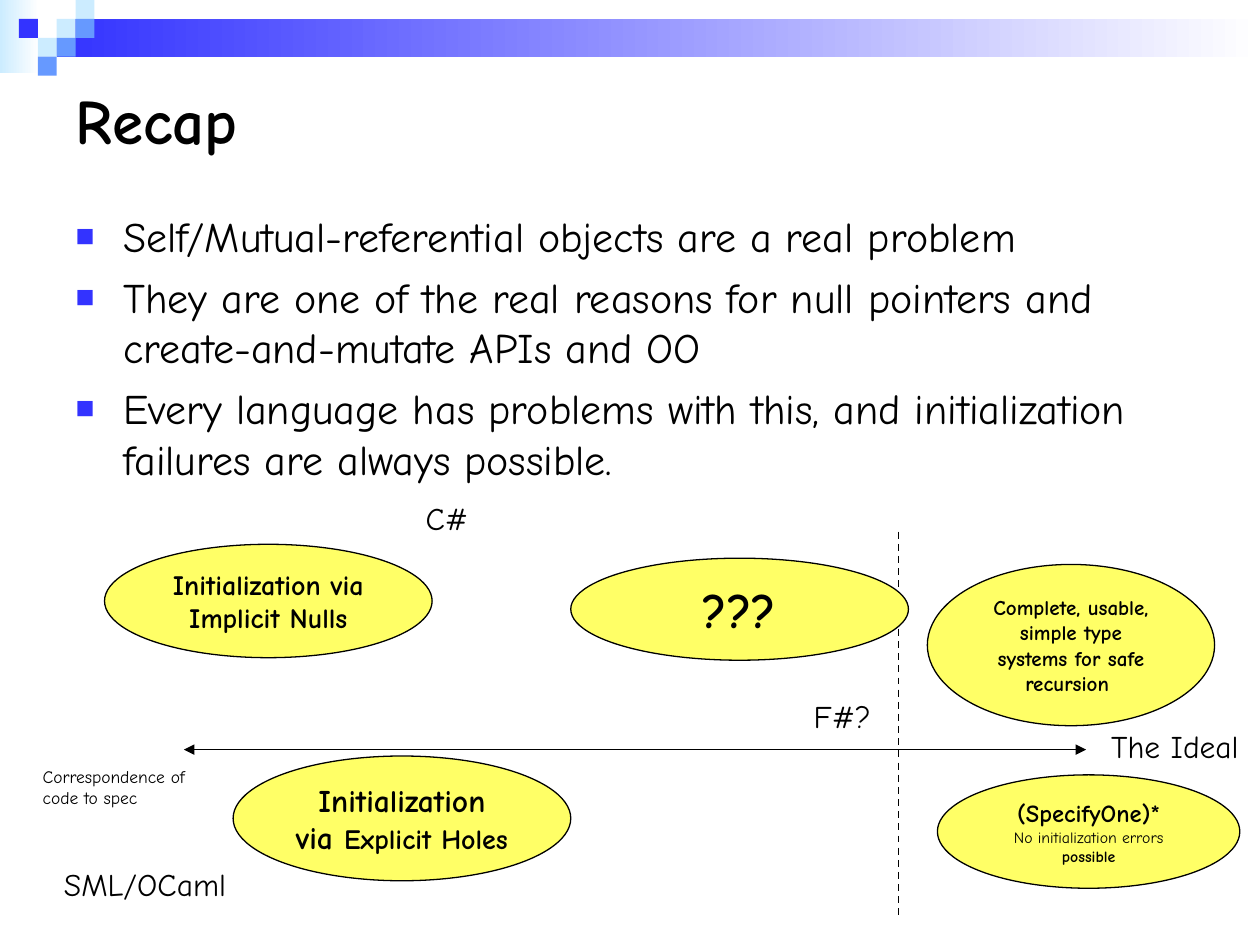
from collections import namedtuple
from dataclasses import dataclass

from lxml.etree import SubElement
from pptx import Presentation
from pptx.dml.color import RGBColor
from pptx.enum.dml import MSO_LINE
from pptx.enum.shapes import MSO_CONNECTOR, MSO_SHAPE
from pptx.enum.text import MSO_ANCHOR, MSO_AUTO_SIZE, PP_ALIGN
from pptx.oxml.ns import qn
from pptx.util import Inches, Pt

Box = namedtuple("Box", "left top width height")


@dataclass(frozen=True)
class Theme:
    font: str = "Comic Neue"
    ink: str = "000000"
    paper: str = "FFFFFF"
    pale: str = "CCECFF"
    mid: str = "6699FF"
    strong: str = "3333FF"
    bubble: str = "FFFF66"
    title: int = 36
    body: int = 24
    mark: int = 28
    label: int = 18
    bubble_text: int = 16
    bubble_name: int = 14
    bubble_small: int = 12
    note: int = 10
    tiny: int = 9


THEME = Theme()


def color(value):
    return RGBColor.from_string(value)


def inside(box, left, top, width=0, height=0):
    """Turn inches measured from the box's corner into slide lengths."""
    return Box(box.left + Inches(left), box.top + Inches(top), Inches(width), Inches(height))


def style(font, size, bold=False):
    font.name = THEME.font
    font.size = Pt(size)
    font.bold = bold
    font.color.rgb = color(THEME.ink)


def place(placeholder, box):
    placeholder.left, placeholder.top, placeholder.width, placeholder.height = box


# Corner squares and fading bar
def add_banner(slide, box):
    def add_block(area):
        block = slide.shapes.add_shape(MSO_SHAPE.RECTANGLE, *area)
        block.shadow.inherit = False
        block.line.fill.background()
        return block

    for area, start in ((inside(box, 0, 0, 0.31, 0.58), THEME.pale),
                        (inside(box, 0.45, 0.15, 9.55, 0.3), THEME.strong)):
        fill = add_block(area).fill
        fill.gradient()
        fill.gradient_angle = 0
        for stop, value in zip(fill.gradient_stops, (start, THEME.paper)):
            stop.color.rgb = color(value)

    cell = 0.15
    squares = ((3, 1, THEME.pale), (4, 0, THEME.pale), (4, 1, THEME.mid),
               (2, 2, THEME.pale), (1, 1, THEME.strong), (3, 2, THEME.mid),
               (2, 3, THEME.mid))
    for column, row, value in squares:
        square = add_block(inside(box, column * cell, row * cell, cell, cell))
        square.fill.solid()
        square.fill.fore_color.rgb = color(value)


def add_title(slide, box, wording):
    title = slide.shapes.title
    place(title, box)
    frame = title.text_frame
    frame.text = wording
    frame.auto_size = MSO_AUTO_SIZE.NONE
    frame.vertical_anchor = MSO_ANCHOR.MIDDLE
    frame.paragraphs[0].alignment = PP_ALIGN.LEFT
    style(frame.paragraphs[0].runs[0].font, THEME.title, True)


def add_square_bullet(paragraph):
    properties = paragraph._p.get_or_add_pPr()
    properties.set("marL", str(Inches(0.38)))
    properties.set("indent", str(-Inches(0.38)))
    bullet_color = SubElement(properties, qn("a:buClr"))
    SubElement(bullet_color, qn("a:srgbClr"), val=THEME.strong)
    SubElement(properties, qn("a:buSzPct"), val="75000")
    SubElement(properties, qn("a:buChar"), char="■")


def add_points(slide, box, points):
    body = slide.placeholders[1]
    place(body, box)
    frame = body.text_frame
    frame.text = "\n".join(points)
    frame.auto_size = MSO_AUTO_SIZE.NONE
    for index, paragraph in enumerate(frame.paragraphs):
        add_square_bullet(paragraph)
        paragraph.space_before = Pt(6 if index else 0)
        style(paragraph.runs[0].font, THEME.body)


def add_line(slide, start, end, width):
    line = slide.shapes.add_connector(MSO_CONNECTOR.STRAIGHT, start.left, start.top,
                                      end.left, end.top)
    line.line.color.rgb = color(THEME.ink)
    line.line.width = Pt(width)
    SubElement(line._element.spPr, qn("a:effectLst"))
    return line.line


def add_bubble(slide, box, paragraphs):
    """Each paragraph is a list of (text, size, bold) runs."""
    bubble = slide.shapes.add_shape(MSO_SHAPE.OVAL, *box)
    bubble.shadow.inherit = False
    bubble.fill.solid()
    bubble.fill.fore_color.rgb = color(THEME.bubble)
    bubble.line.color.rgb = color(THEME.ink)
    bubble.line.width = Pt(0.75)
    frame = bubble.text_frame
    frame.word_wrap = True
    frame.vertical_anchor = MSO_ANCHOR.MIDDLE
    for index, runs in enumerate(paragraphs):
        paragraph = frame.add_paragraph() if index else frame.paragraphs[0]
        paragraph.alignment = PP_ALIGN.CENTER
        for wording, size, bold in runs:
            run = paragraph.add_run()
            run.text = wording
            style(run.font, size, bold)


def add_label(slide, box, wording, size):
    frame = slide.shapes.add_textbox(*box).text_frame
    frame.text = wording
    frame.word_wrap = True
    for paragraph in frame.paragraphs:
        style(paragraph.runs[0].font, size)


# Spectrum of languages, from loose correspondence to the ideal
def add_spectrum(slide, box):
    axis = add_line(slide, inside(box, 1.26, 2.05), inside(box, 8.42, 2.05), 0.75)
    for end in ("a:headEnd", "a:tailEnd"):
        SubElement(axis._get_or_add_ln(), qn(end), type="triangle")
    divider = add_line(slide, inside(box, 6.93, 0.32), inside(box, 6.93, 3.39), 1)
    divider.dash_style = MSO_LINE.DASH

    bubbles = (
        ((0.63, 0.42, 2.6, 0.9),
         [[("Initialization via Implicit Nulls", THEME.bubble_text, True)]]),
        ((7.24, 2.25, 2.4, 0.9),
         [[("(SpecifyOne)*", THEME.bubble_name, True)],
          [("No initialization errors", THEME.tiny, False), (" possible", THEME.tiny, True)]]),
        ((1.65, 2.1, 2.68, 0.99),
         [[("Initialization via ", THEME.label, True),
           ("Explicit Holes", THEME.bubble_text, True)]]),
        ((7.16, 0.58, 2.28, 1.28),
         [[("Complete, usable, simple type systems for safe recursion ",
            THEME.bubble_small, True)]]),
        ((4.33, 0.53, 2.68, 0.81), [[("???", THEME.mark, True)]]),
    )
    for area, paragraphs in bubbles:
        add_bubble(slide, inside(box, *area), paragraphs)

    # Widths leave a little slack so that every label keeps to its lines
    labels = (
        ((3.08, 0.01, 0.62, 0.4), "C#", THEME.label),
        ((0.21, 2.92, 1.6, 0.4), "SML/OCaml", THEME.label),
        ((6.16, 1.58, 0.75, 0.4), "F#?", THEME.label),
        ((8.52, 1.82, 1.28, 0.4), "The Ideal", THEME.label),
        ((0.04, 2.13, 1.45, 0.44), "Correspondence of\ncode to spec", THEME.note),
    )
    for area, wording, size in labels:
        add_label(slide, inside(box, *area), wording, size)


def main():
    deck = Presentation()
    deck.slide_width, deck.slide_height = Inches(10), Inches(7.5)
    slide = deck.slides.add_slide(deck.slide_layouts[1])
    page = Box(0, 0, deck.slide_width, deck.slide_height)

    add_banner(slide, inside(page, 0, 0, 10, 0.6))
    add_title(slide, inside(page, 0.5, 0.5, 9, 0.89), "Recap")
    add_points(slide, inside(page, 0.5, 1.62, 9.15, 2.67), (
        "Self/Mutual-referential objects are a real problem",
        "They are one of the real reasons for null pointers and create-and-mutate APIs and OO",
        "Every language has problems with this, and initialization failures are always possible.",
    ))
    add_spectrum(slide, inside(page, 0.2, 3.9, 9.8, 3.4))
    deck.save("out.pptx")


if __name__ == "__main__":
    main()
